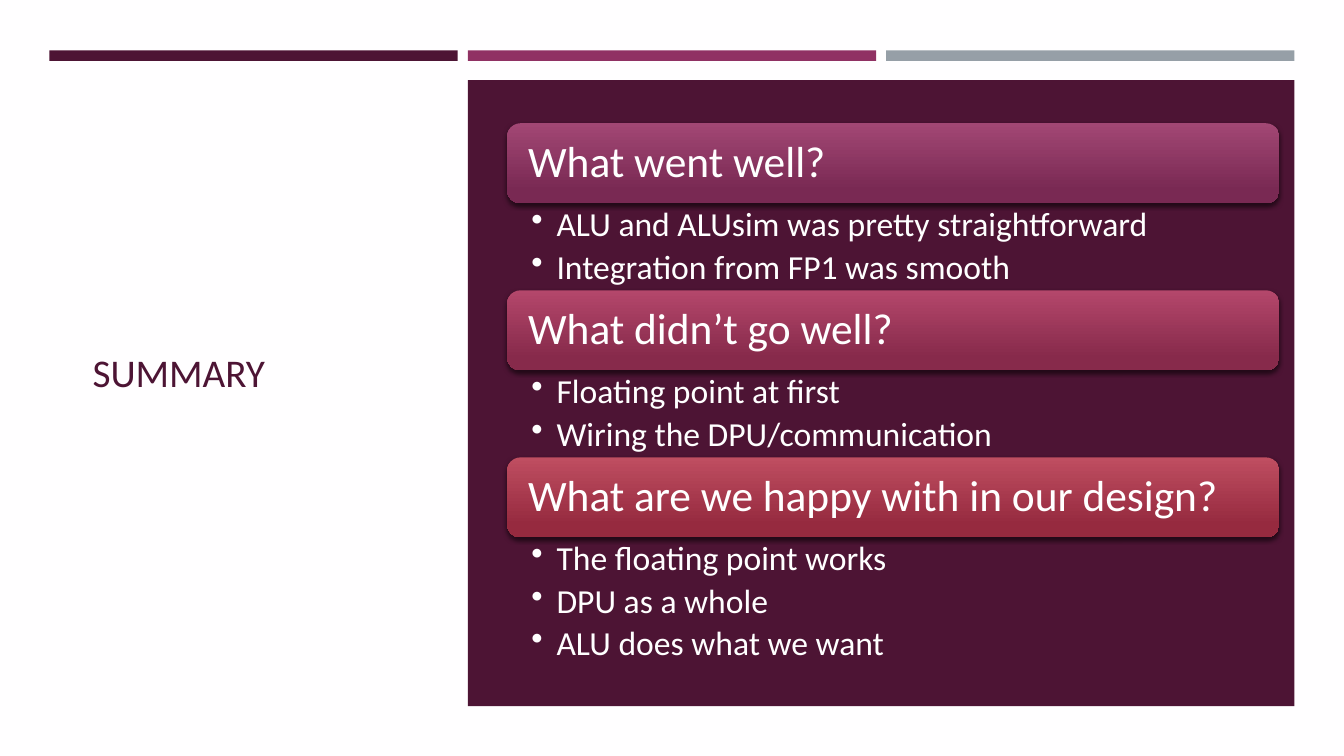
from lxml import etree
from pptx import Presentation
from pptx.dml.color import RGBColor
from pptx.enum.shapes import MSO_SHAPE
from pptx.enum.text import MSO_ANCHOR, PP_ALIGN
from pptx.oxml import parse_xml
from pptx.oxml.ns import nsdecls, qn
from pptx.util import Inches, Pt

RECT, ROUNDED = MSO_SHAPE.RECTANGLE, MSO_SHAPE.ROUNDED_RECTANGLE
TOP, MIDDLE, LEFT = MSO_ANCHOR.TOP, MSO_ANCHOR.MIDDLE, PP_ALIGN.LEFT

PAPER = RGBColor(0xFF, 0xFE, 0xFF)
WHITE = RGBColor(0xFF, 0xFF, 0xFF)
PLUM = RGBColor(0x4D, 0x14, 0x34)
MAGENTA = RGBColor(0x90, 0x31, 0x63)
GREY = RGBColor(0x96, 0x9F, 0xA7)
PURPLE_CARD = RGBColor(0xA2, 0x47, 0x74), RGBColor(0x79, 0x29, 0x53)
ROSE_CARD = RGBColor(0xB4, 0x47, 0x6B), RGBColor(0x87, 0x2A, 0x4B)
RED_CARD = RGBColor(0xBF, 0x4E, 0x61), RGBColor(0x96, 0x2A, 0x3F)

SHADOW = (f'<a:effectLst {nsdecls("a")}><a:outerShdw blurRad="38100" dist="25400" '
          'dir="5400000" rotWithShape="0"><a:srgbClr val="000000">'
          '<a:alpha val="55000"/></a:srgbClr></a:outerShdw></a:effectLst>')


class Deck:
    """Style and current slide; lengths are percentages of the slide's size."""
    font = "Calibri"

    def __init__(self, width, height):
        self.prs = Presentation()
        self.prs.slide_width, self.prs.slide_height = Inches(width), Inches(height)
        self.s = self.prs.slides.add_slide(self.prs.slide_layouts[6])
        fill = self.s.background.fill
        fill.solid()
        fill.fore_color.rgb = PAPER

    def frame(self, x, y, w, h):
        W, H = self.prs.slide_width, self.prs.slide_height
        return [round(v * size / 100) for v, size in zip((x, y, w, h), (W, H, W, H))]

    def block(self, box, color, kind=RECT):
        sp = self.s.shapes.add_shape(kind, *self.frame(*box))
        sp.shadow.inherit = False
        sp.line.fill.background()
        sp.fill.solid()
        sp.fill.fore_color.rgb = color
        return sp

    def set_text(self, sp, lines, size, color=WHITE, anchor=MIDDLE, inset=(0.1, 0.05),
                 bullet=False, **spacing):
        tf = sp.text_frame
        dx, dy = map(Inches, inset)
        frame_format = dict(word_wrap=True, vertical_anchor=anchor, margin_left=dx,
                            margin_right=dx, margin_top=dy, margin_bottom=dy)
        for name, value in frame_format.items():
            setattr(tf, name, value)
        for i, line in enumerate(lines):
            p = tf.add_paragraph() if i else tf.paragraphs[0]
            for name, value in dict(alignment=LEFT, **spacing).items():
                setattr(p, name, value)
            r = p.add_run()
            r.text = line
            for name, value in dict(name=self.font, size=Pt(size)).items():
                setattr(r.font, name, value)
            r.font.color.rgb = color
            if bullet:
                pPr = p._p.get_or_add_pPr()
                pPr.set("marL", str(Inches(0.25)))
                pPr.set("indent", str(-Inches(0.25)))
                etree.SubElement(pPr, qn("a:buChar")).set("char", "•")

    def text(self, box, lines, size, **style):
        self.set_text(self.s.shapes.add_textbox(*self.frame(*box)), lines, size, **style)

    def card(self, box, heading, colors):
        sp = self.block(box, colors[0], ROUNDED)
        sp.fill.gradient()
        sp.fill.gradient_angle = 270
        for stop, color, position in zip(sp.fill.gradient_stops, colors, (0, 0.84)):
            stop.color.rgb, stop.position = color, position
        spPr = sp._element.spPr
        spPr.replace(spPr.find(qn("a:effectLst")), parse_xml(SHADOW))
        self.set_text(sp, [heading], 31, inset=(0.17, 0.13), line_spacing=0.9)

    def bullets(self, box, lines):
        self.text(box, lines, 24, anchor=TOP, inset=(0.24, 0.04), bullet=True,
                  line_spacing=0.9, space_after=Pt(4.5))


deck = Deck(13.33, 7.5)

# Three columns: accent bars on top, panel under the last two
MARGIN, COL, GUTTER = 3.68, 30.38, 0.75
columns = [MARGIN + i * (COL + GUTTER) for i in range(3)]
for x, color in zip(columns, (PLUM, MAGENTA, GREY)):
    deck.block((x, 6.67, COL, 1.4), color)
deck.block((columns[1], 10.6, 2 * COL + GUTTER, 82.8), PLUM)

# Title
deck.text((6.15, 15.2, 25.05, 68.7), ["SUMMARY"], 28, color=PLUM, line_spacing=0.9)

# Question cards, each followed by its answers
QUESTIONS = [
    ("What went well?", PURPLE_CARD,
     ["ALU and ALUsim was pretty straightforward", "Integration from FP1 was smooth"]),
    ("What didn’t go well?", ROSE_CARD,
     ["Floating point at first", "Wiring the DPU/communication"]),
    ("What are we happy with in our design?", RED_CARD,
     ["The floating point works", "DPU as a whole", "ALU does what we want"]),
]
CARD_X, CARD_W, CARD_H, ANSWER_H = 37.73, 57.46, 10.6, 5.75
y = 16.3
for question, colors, answers in QUESTIONS:
    deck.card((CARD_X, y, CARD_W, CARD_H), question, colors)
    y += CARD_H
    answers_h = ANSWER_H * len(answers)
    deck.bullets((CARD_X, y, CARD_W, answers_h), answers)
    y += answers_h

deck.prs.save("out.pptx")
